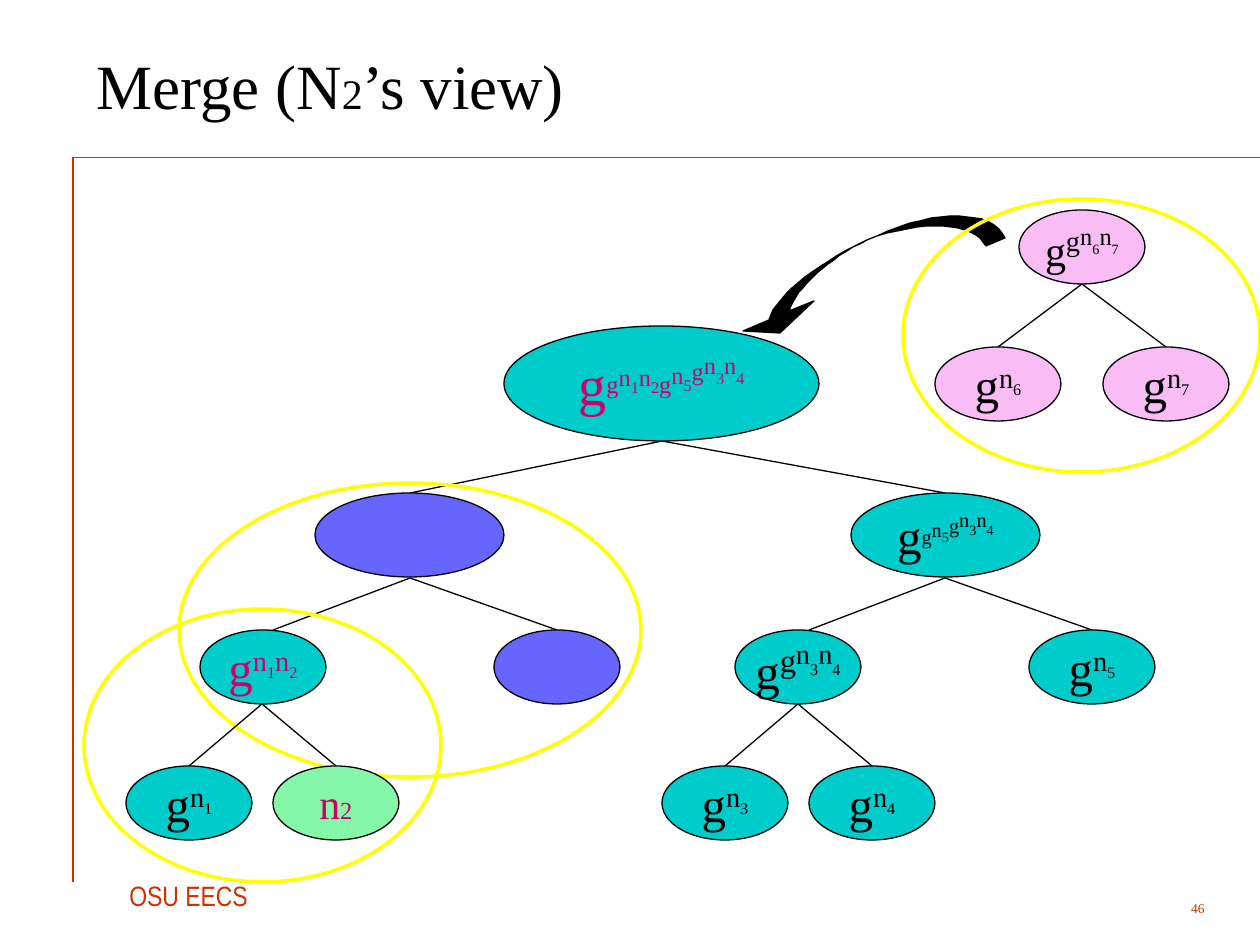
from lxml.etree import SubElement
from pptx import Presentation
from pptx.dml.color import RGBColor
from pptx.enum.shapes import MSO_CONNECTOR, MSO_SHAPE
from pptx.enum.text import MSO_ANCHOR, PP_ALIGN
from pptx.oxml.ns import qn
from pptx.util import Pt

PX = 914400 / 126
COLORS = {
    "black": "000000", "rust": "CC3300", "teal": "00CCCC", "blue": "6666FF",
    "pink": "FABCF4", "green": "85F7A8", "yellow": "FFFF00", "magenta": "CC0066",
}
SERIF = "Times New Roman"
SMALL, MEDIUM, LARGE = (126, 74), (189, 84), (315, 115)


def px(*lengths):
    return [round(length * PX) for length in lengths]


def rgb(color):
    return RGBColor.from_string(COLORS[color])


def add_runs(paragraph, parts, color, font=SERIF):
    """Write (text, size, baseline percent) parts as runs."""
    for text, size, baseline in parts:
        run = paragraph.add_run()
        run.text = text
        run.font.size = Pt(size)
        run.font.name = font
        run.font.color.rgb = rgb(color)
        if baseline:
            run.font._element.set("baseline", str(baseline * 1000))


def n_terms(indices, size, index_size, baseline):
    return [part for index in indices
            for part in (("n", size, baseline), (index, index_size, baseline))]


def g_power(indices):
    """g raised to the product of the given n terms."""
    return [("g", 28, 0)] + n_terms(indices, 28, 16, 30)


def g_tower(base_size, power_size, n_size, index_size, indices):
    """g raised to g, itself raised to n terms."""
    return ([("g", base_size, 0), ("g", power_size, 30)]
            + n_terms(indices, n_size, index_size, 50))


def n5_tower(size, index_size):
    """The exponent g^(n5 g^(n3 n4))."""
    return ([("g", size, 30)] + n_terms("5", size, index_size, 50)
            + [("g", size, 60)] + n_terms("34", size, index_size, 76))


def add_label(slide, box, parts, color, font=SERIF, align=PP_ALIGN.LEFT,
              anchor=MSO_ANCHOR.MIDDLE, wrap=True):
    frame = slide.shapes.add_textbox(*px(*box)).text_frame
    frame.word_wrap = wrap
    frame.vertical_anchor = anchor
    frame.paragraphs[0].alignment = align
    add_runs(frame.paragraphs[0], parts, color, font)


def add_line(shapes, start, end, color="black", width=0.75):
    line = shapes.add_connector(MSO_CONNECTOR.STRAIGHT, *px(*start, *end))
    line.line.color.rgb = rgb(color)
    line.line.width = Pt(width)
    SubElement(line._element.spPr, qn("a:effectLst"))


def add_branches(shapes, parent, *children):
    for child in children:
        add_line(shapes, child, parent)


def add_node(shapes, corner, size, fill, parts=(), color="black"):
    node = shapes.add_shape(MSO_SHAPE.OVAL, *px(*corner, *size))
    node.shadow.inherit = False
    node.fill.solid()
    node.fill.fore_color.rgb = rgb(fill)
    node.line.color.rgb = rgb("black")
    node.line.width = Pt(0.75)
    frame = node.text_frame
    frame.word_wrap = False
    frame.vertical_anchor = MSO_ANCHOR.MIDDLE
    frame.paragraphs[0].alignment = PP_ALIGN.CENTER
    add_runs(frame.paragraphs[0], parts, color)


def add_ring(shapes, box):
    ring = shapes.add_shape(MSO_SHAPE.OVAL, *px(*box))
    ring.shadow.inherit = False
    ring.fill.background()
    ring.line.color.rgb = rgb("yellow")
    ring.line.width = Pt(2)


def curve(*controls, steps=16):
    """Points along a cubic Bezier curve, without its start."""
    points = []
    for step in range(1, steps + 1):
        t = step / steps
        weights = ((1 - t) ** 3, 3 * t * (1 - t) ** 2, 3 * t * t * (1 - t), t ** 3)
        points.append(tuple(sum(w * point[axis] for w, point in zip(weights, controls))
                            for axis in (0, 1)))
    return points


def add_merge_arrow(shapes):
    tail, crest, neck = (1005, 238), (877, 236), (769, 320)
    barb, inner_crest, inner_tail = (789, 311), (867, 240), (986, 246)
    outline = (
        curve(tail, (994, 210), (936, 208), crest)
        + curve(crest, (822, 259), (776, 295), neck)
        + [(743, 331), (780, 333), (814, 301), barb]
        + curve(barb, (796, 287), (830, 258), inner_crest)
        + curve(inner_crest, (922, 219), (975, 222), inner_tail)
    )
    builder = shapes.build_freeform(*tail, scale=PX)
    builder.add_line_segments(outline, close=True)
    arrow = builder.convert_to_shape()
    arrow.shadow.inherit = False
    arrow.fill.solid()
    arrow.fill.fore_color.rgb = rgb("black")
    arrow.line.color.rgb = rgb("black")
    arrow.line.width = Pt(0.75)


def add_frame(slide):
    add_line(slide.shapes, (73, 157), (1260, 157), "rust", 0.25)
    add_line(slide.shapes, (73, 157), (73, 882), "rust")
    add_label(slide, (117, 872, 150, 47), [("OSU EECS", 16, 0)], "rust",
              "Arial Narrow", anchor=MSO_ANCHOR.TOP, wrap=False)
    add_label(slide, (1113, 892, 104, 32), [("46", 7.7, 0)], "rust",
              align=PP_ALIGN.RIGHT)
    add_label(slide, (84, 21, 1135, 126),
              [("Merge (N", 36, 0), ("2", 24, 0), ("’s view)", 36, 0)], "black")


def add_main_tree(shapes):
    add_node(shapes, (735, 630), SMALL, "teal", g_tower(28, 32, 28, 16, "34"))
    add_node(shapes, (809, 766), SMALL, "teal", g_power("4"))
    add_branches(shapes, (798, 704), (725, 766), (872, 766))
    add_branches(shapes, (945, 578), (809, 630), (1092, 630))
    add_branches(shapes, (662, 441), (410, 493), (945, 493))
    add_node(shapes, (851, 493), MEDIUM, "teal", [("g", 28, 0)] + n5_tower(20, 14))
    add_node(shapes, (1029, 630), SMALL, "teal", g_power("5"))
    add_node(shapes, (662, 766), SMALL, "teal", g_power("3"))
    root_key = ([("g", 32, 0), ("g", 24, 30)] + n_terms("12", 24, 16, 46)
                + n5_tower(24, 16))
    add_node(shapes, (504, 326), LARGE, "teal", root_key, "magenta")


def add_joining_tree(shapes):
    add_node(shapes, (1019, 210), SMALL, "pink", g_tower(24, 28, 24, 14, "67"))
    add_node(shapes, (1103, 347), SMALL, "pink", g_power("7"))
    add_branches(shapes, (1082, 284), (998, 347), (1166, 347))
    add_node(shapes, (935, 347), SMALL, "pink", g_power("6"))


def add_n2_subtree(shapes):
    add_branches(shapes, (262, 704), (189, 766), (336, 766))
    add_node(shapes, (315, 493), MEDIUM, "blue")
    add_node(shapes, (126, 766), SMALL, "teal", g_power("1"))
    add_node(shapes, (200, 630), SMALL, "teal", g_power("12"), "magenta")
    add_node(shapes, (494, 630), SMALL, "blue")
    add_ring(shapes, (84, 609, 357, 273))
    add_node(shapes, (273, 766), SMALL, "green", [("n", 24, 0), ("2", 14, 0)], "magenta")


def main():
    prs = Presentation()
    prs.slide_width, prs.slide_height = px(1260, 945)
    slide = prs.slides.add_slide(prs.slide_layouts[6])
    shapes = slide.shapes
    add_frame(slide)
    add_main_tree(shapes)
    add_joining_tree(shapes.add_group_shape().shapes)
    add_merge_arrow(shapes)
    add_branches(shapes, (410, 578), (273, 630), (557, 630))
    add_ring(shapes, (179, 483, 462, 294))
    add_ring(shapes, (903, 199, 357, 273))
    add_n2_subtree(shapes.add_group_shape().shapes)
    prs.save("out.pptx")


if __name__ == "__main__":
    main()
